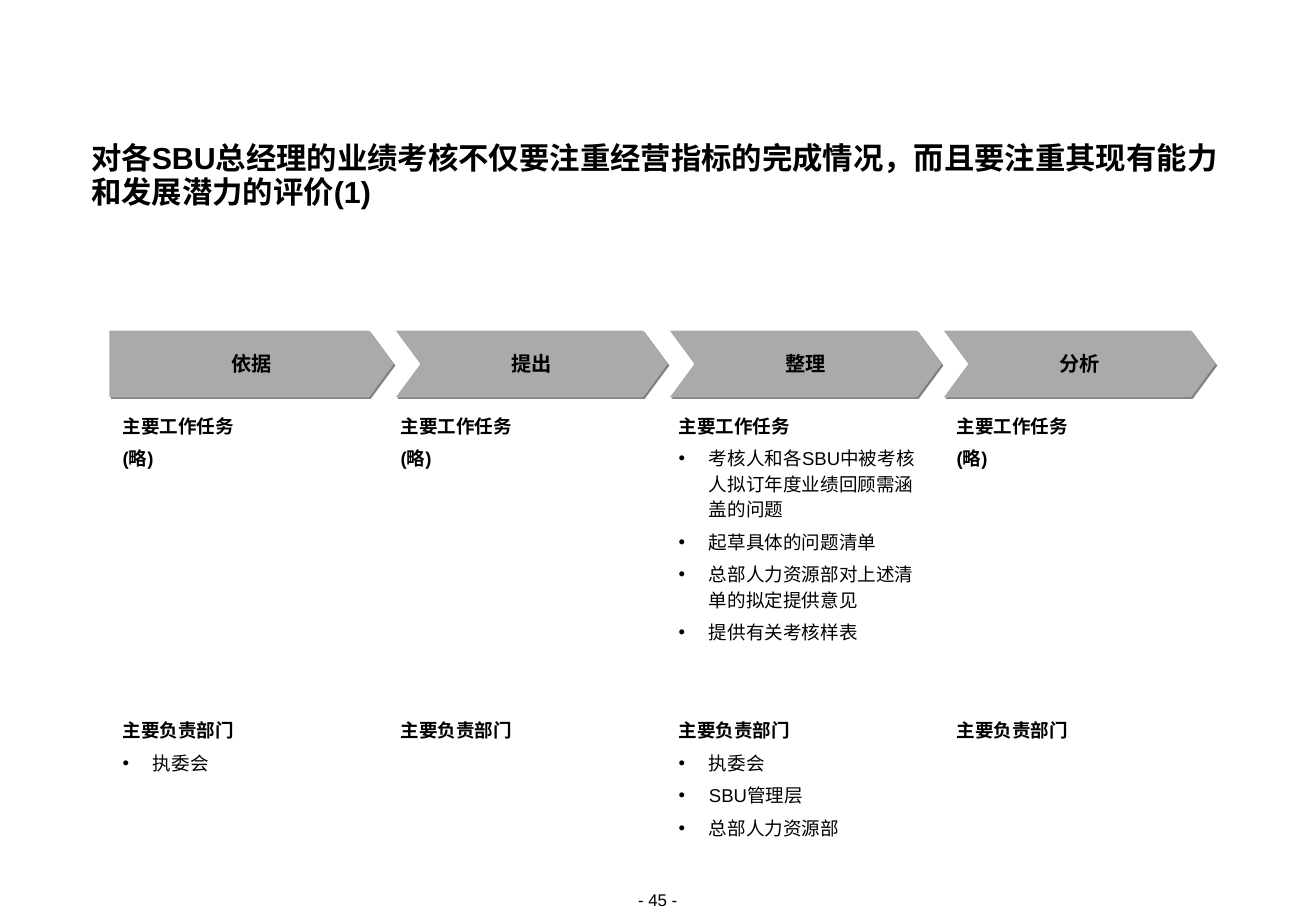
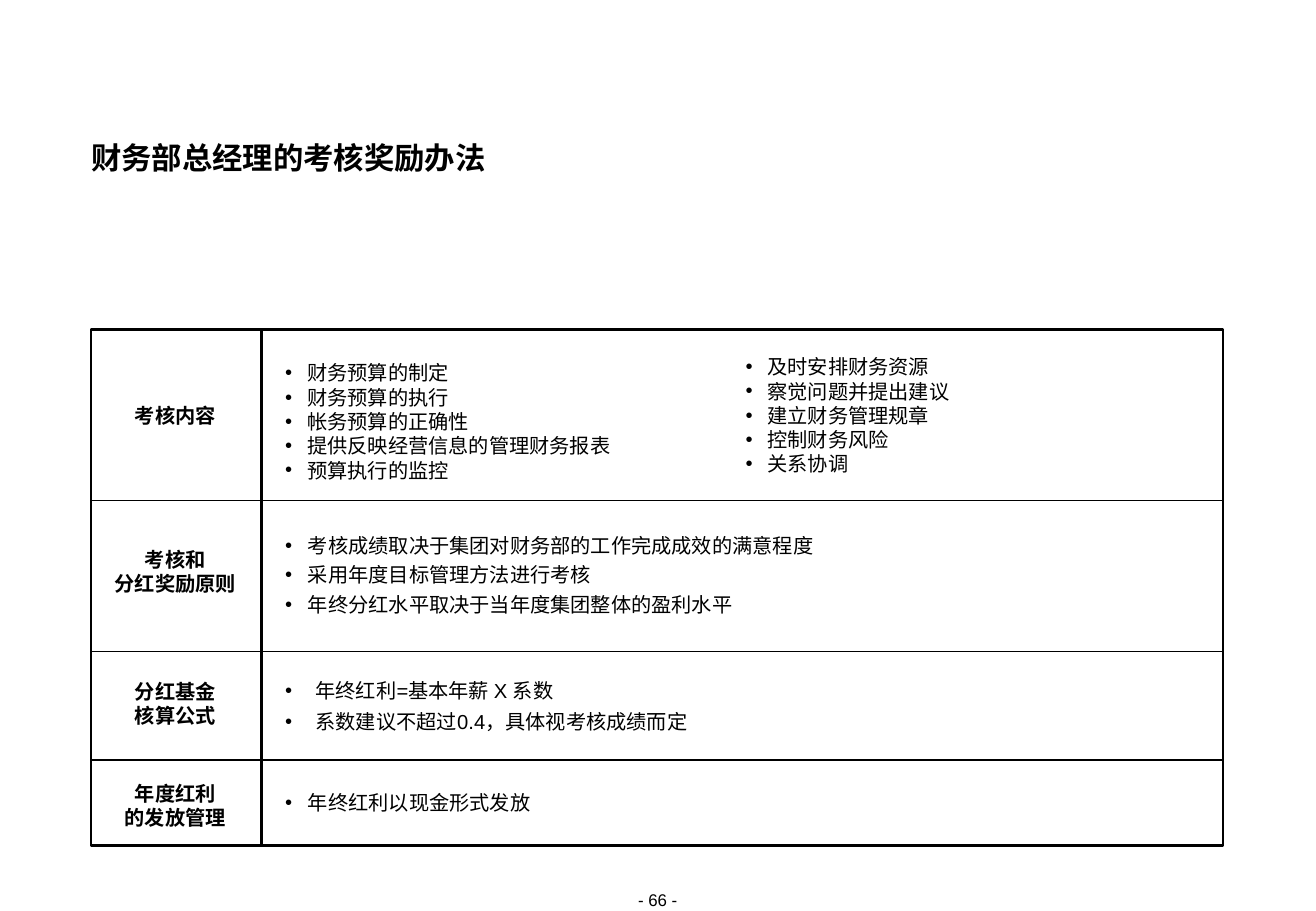
from copy import deepcopy
from dataclasses import dataclass

from lxml import etree
from pptx import Presentation
from pptx.dml.color import RGBColor
from pptx.enum import lang, shapes, text as t
from pptx.oxml import ns
from pptx.util import Pt


@dataclass(frozen=True)
class Theme:
    font: str = "Arial"
    ink: str = "000000"
    step_fill: str = "AAAAAA"
    step_shadow: str = "808080"
    title_size: float = 18
    label_size: float = 12
    body_size: float = 11
    page_size: float = 10
    frame_line: float = 1.5
    row_line: float = 1


THEME = Theme()
SLIDE_WIDTH, SLIDE_HEIGHT = 780.48, 540

# Content: process steps with their tasks and departments
PROCESS_TITLE = "对各SBU总经理的业绩考核不仅要注重经营指标的完成情况，而且要注重其现有能力和发展潜力的评价(1)"
TASKS, DEPARTMENTS, OMITTED = "主要工作任务", "主要负责部门", "(略)"
STEPS = [
    ("依据", [], ["执委会"]),
    ("提出", [], []),
    ("整理",
     ["考核人和各SBU中被考核人拟订年度业绩回顾需涵盖的问题", "起草具体的问题清单",
      "总部人力资源部对上述清单的拟定提供意见", "提供有关考核样表"],
     ["执委会", "SBU管理层", "总部人力资源部"]),
    ("分析", [], []),
]

# Content: reward rules as (label, row height, label offset, text offset,
# lists side by side, paragraph format)
REWARD_TITLE = "财务部总经理的考核奖励办法"
REWARD_ROWS = [
    ("考核内容", 101.5, 44, 15,
     [["财务预算的制定", "财务预算的执行", "帐务预算的正确性",
       "提供反映经营信息的管理财务报表", "预算执行的监控"],
      ["及时安排财务资源", "察觉问题并提出建议", "建立财务管理规章",
       "控制财务风险", "关系协调"]],
     dict(indent=13)),
    ("考核和\n分红奖励原则", 89.5, 27.5, 19.5,
     [["考核成绩取决于集团对财务部的工作完成成效的满意程度",
       "采用年度目标管理方法进行考核", "年终分红水平取决于当年度集团整体的盈利水平"]],
     dict(indent=13.5, space_before=3)),
    ("分红基金\n核算公式", 64.5, 16.5, 11.5,
     [["年终红利=基本年薪 X 系数", "系数建议不超过0.4，具体视考核成绩而定"]],
     dict(indent=18, line_spacing=1.3)),
    ("年度红利\n的发放管理", 50.5, 12.5, 18,
     [["年终红利以现金形式发放"]],
     dict(indent=13.5)),
]


def add_xml(parent, tag, **attributes):
    return etree.SubElement(parent, ns.qn(tag), attributes)


def write(frame, text, *, size, bold=False, align=t.PP_ALIGN.LEFT,
          line_spacing=None, space_before=0, indent=0):
    """Add one paragraph; an indent makes it a bullet."""
    first = not frame.paragraphs[0].runs
    paragraph = frame.paragraphs[0] if first else frame.add_paragraph()
    if indent:
        properties = paragraph._p.get_or_add_pPr()
        properties.set("marL", str(int(Pt(indent))))
        properties.set("indent", str(-int(Pt(indent))))
        add_xml(add_xml(properties, "a:buClr"), "a:srgbClr", val=THEME.ink)
        add_xml(properties, "a:buFont", typeface=THEME.font)
        add_xml(properties, "a:buChar", char="•")
    paragraph.alignment = align
    if isinstance(line_spacing, int):
        paragraph.line_spacing = Pt(line_spacing)
    else:
        paragraph.line_spacing = line_spacing
    paragraph.space_before = Pt(0 if first else space_before)
    for number, line in enumerate(text.split("\n")):
        if number:
            paragraph.add_line_break()
            # The break keeps the type size of the line it ends
            paragraph._p[-1].append(deepcopy(run._r.rPr))
        run = paragraph.add_run()
        run.text = line
        font = run.font
        font.name, font.size, font.bold = THEME.font, Pt(size), bold
        font.color.rgb = RGBColor.from_string(THEME.ink)
        font.language_id = lang.MSO_LANGUAGE_ID.SIMPLIFIED_CHINESE


def clear_margins(frame):
    frame.margin_left = frame.margin_right = Pt(0)
    frame.margin_top = frame.margin_bottom = Pt(0)


def add_text_box(slide, left, top, width, height):
    box = slide.shapes.add_textbox(Pt(left), Pt(top), Pt(width), Pt(height))
    box.text_frame.word_wrap = True
    clear_margins(box.text_frame)
    return box.text_frame


def style_line(line, width):
    line.width = Pt(width)
    line.color.rgb = RGBColor.from_string(THEME.ink)


def add_line(slide, start, end, width):
    points = [Pt(value) for value in (*start, *end)]
    connector = slide.shapes.add_connector(
        shapes.MSO_CONNECTOR.STRAIGHT, *points)
    style_line(connector.line, width)
    add_xml(connector._element.spPr, "a:effectLst")


def add_titled_slide(presentation, title, page):
    slide = presentation.slides.add_slide(presentation.slide_layouts[5])
    heading = slide.shapes.title
    heading.left, heading.top = Pt(54), Pt(84.3)
    heading.width, heading.height = Pt(672), Pt(40)
    frame = heading.text_frame
    clear_margins(frame)
    frame.word_wrap = True
    frame.auto_size = t.MSO_AUTO_SIZE.NONE
    frame.vertical_anchor = t.MSO_ANCHOR.TOP
    write(frame, title, size=THEME.title_size, bold=True, line_spacing=20)
    write(add_text_box(slide, 349, 527.4, 82, 12), f"- {page} -",
          size=THEME.page_size, align=t.PP_ALIGN.CENTER)
    return slide


# Process slide
def add_step(slide, index, name):
    pitch, height, tip = 162.5, 39.5, 14.6
    is_first = index == 0
    width = 168.6 if is_first else 161.2
    right = 233.5 + index * pitch
    kind = shapes.MSO_SHAPE.PENTAGON if is_first else shapes.MSO_SHAPE.CHEVRON
    step = slide.shapes.add_shape(
        kind, Pt(right - width), Pt(196), Pt(width), Pt(height))
    step.adjustments[0] = tip / height
    step.fill.solid()
    step.fill.fore_color.rgb = RGBColor.from_string(THEME.step_fill)
    step.line.fill.background()
    effects = add_xml(step._element.spPr, "a:effectLst")
    shadow = add_xml(effects, "a:outerShdw", dist=str(int(Pt(1.4))),
                     dir="2700000", algn="ctr", rotWithShape="0")
    add_xml(shadow, "a:srgbClr", val=THEME.step_shadow)
    frame = step.text_frame
    clear_margins(frame)
    if is_first:
        frame.margin_left = Pt(tip / 2)  # balances the pointed end
    frame.word_wrap = False
    frame.vertical_anchor = t.MSO_ANCHOR.MIDDLE
    write(frame, name, size=THEME.label_size, bold=True,
          align=t.PP_ALIGN.CENTER, line_spacing=14)


def add_duties(slide, index, top, heading, items, height, placeholder=None):
    frame = add_text_box(slide, 72.7 + index * 164.9, top, 150, height)
    style = dict(size=THEME.body_size, line_spacing=1.15, space_before=4.1)
    write(frame, heading, bold=True, **style)
    if placeholder and not items:
        write(frame, placeholder, bold=True, **style)
    for item in items:
        write(frame, item, indent=18, **style)


def build_process(presentation):
    slide = add_titled_slide(presentation, PROCESS_TITLE, 45)
    for index, (name, tasks, departments) in enumerate(STEPS):
        add_step(slide, index, name)
        add_duties(slide, index, 243.8, TASKS, tasks, 138, OMITTED)
        add_duties(slide, index, 424.4, DEPARTMENTS, departments, 74)


# Reward slide
def build_rewards(presentation):
    slide = add_titled_slide(presentation, REWARD_TITLE, 66)
    left, top, width, label_width = 54, 195.2, 671.3, 101
    right, divider = left + width, left + label_width
    height = sum(row[1] for row in REWARD_ROWS)

    # Frame and divider
    frame = slide.shapes.add_shape(
        shapes.MSO_SHAPE.RECTANGLE, Pt(left), Pt(top), Pt(width), Pt(height))
    frame.shadow.inherit = False
    frame.fill.background()
    style_line(frame.line, THEME.frame_line)
    add_line(slide, (divider, top), (divider, top + height), THEME.frame_line)

    # Rows
    row_top = top
    for label, row_height, label_offset, offset, lists, style in REWARD_ROWS:
        if row_top > top:
            add_line(slide, (left, row_top), (right, row_top), THEME.row_line)
        label_frame = add_text_box(
            slide, left, row_top + label_offset, label_width - 1,
            14.4 * (label.count("\n") + 1))
        write(label_frame, label, size=THEME.label_size, bold=True,
              align=t.PP_ALIGN.CENTER)
        list_width = 235 if len(lists) > 1 else 543
        for column, items in enumerate(lists):
            text_frame = add_text_box(
                slide, divider + 14.2 + column * 273, row_top + offset,
                list_width, 14.4 * len(items))
            for position, item in enumerate(items):
                # The opening line of a left-hand list is set lower
                lowered = len(lists) > 1 and column == position == 0
                spacing = dict(line_spacing=18) if lowered else {}
                write(text_frame, item, size=THEME.label_size,
                      **style, **spacing)
        row_top += row_height


def main():
    presentation = Presentation()
    presentation.slide_width = Pt(SLIDE_WIDTH)
    presentation.slide_height = Pt(SLIDE_HEIGHT)
    build_process(presentation)
    build_rewards(presentation)
    presentation.save("out.pptx")


if __name__ == "__main__":
    main()
